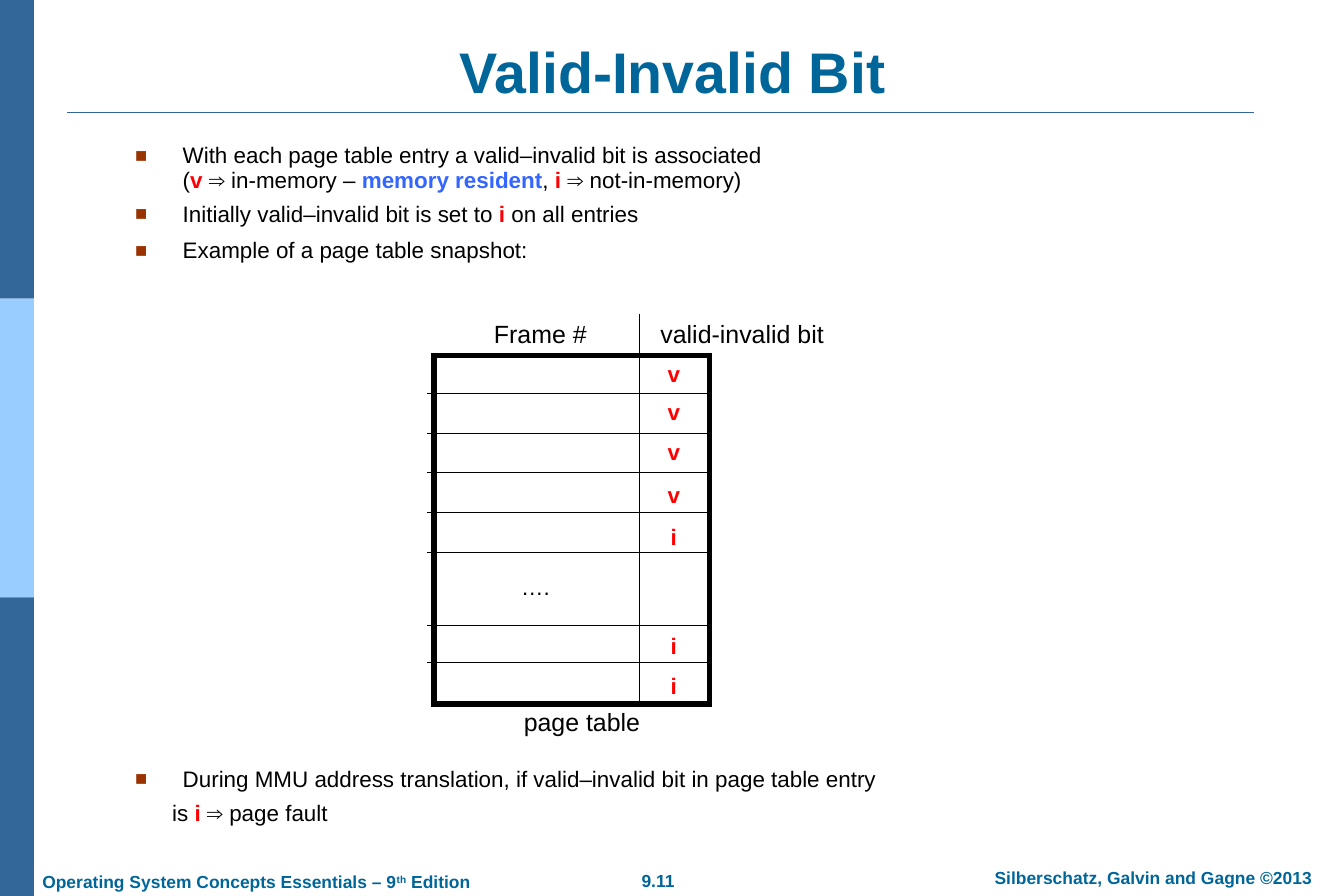
from lxml import etree
from pptx import Presentation
from pptx.dml.color import RGBColor
from pptx.enum.shapes import MSO_CONNECTOR, MSO_SHAPE
from pptx.enum.text import MSO_ANCHOR, PP_ALIGN
from pptx.oxml.ns import qn
from pptx.util import Cm, Pt

STRAIGHT = MSO_CONNECTOR.STRAIGHT
RECTANGLE = MSO_SHAPE.RECTANGLE
TOP, MIDDLE, BOTTOM = MSO_ANCHOR.TOP, MSO_ANCHOR.MIDDLE, MSO_ANCHOR.BOTTOM
LEFT, CENTER = PP_ALIGN.LEFT, PP_ALIGN.CENTER

FONT = "Arial"
BLACK, WHITE, RED = "000000", "FFFFFF", "FF0000"
TEAL, NAVY, SKY = "006699", "336699", "99CCFF"
TERM_BLUE, BULLET_BROWN = "3366FF", "993300"
WIDTH, HEIGHT = 38.1, 25.4
TEXT_INDENT = 1.35

TOP_BULLETS = [
    (7.9, [("With each page table entry a valid–invalid bit is associated", BLACK),
           ("\n", BLACK), ("(", BLACK), ("v ", RED), ("⇒ in-memory – ", BLACK),
           ("memory resident", TERM_BLUE), (", ", BLACK), ("i ", RED),
           ("⇒ not-in-memory)", BLACK)]),
    (7.9, [("Initially valid–invalid bit is set to", BLACK), (" i ", RED),
           ("on all entries", BLACK)]),
    (10, [("Example of a page table snapshot:", BLACK)]),
]
FAULT_BULLET = [
    (7.9, [("During MMU address translation, if valid–invalid bit in page table entry", BLACK)]),
]
FAULT_RESULT = [("is", BLACK), (" i ", RED), ("⇒ page fault", BLACK)]

# Distances in cm below the top of the page table
ROW_LINES = [1.07 + 1.125 * row for row in range(5)] + [7.65, 8.69]
BITS = [("v", 0.51), ("v", 1.6), ("v", 2.72), ("v", 3.94),
        ("i", 5.13), ("i", 8.23), ("i", 9.35)]


def color(value):
    return RGBColor.from_string(value)


def add_rectangle(slide, left, top, width, height, fill, line=None, line_width=0):
    shape = slide.shapes.add_shape(RECTANGLE, Cm(left), Cm(top), Cm(width), Cm(height))
    shape.shadow.inherit = False
    shape.fill.solid()
    shape.fill.fore_color.rgb = color(fill)
    if line:
        shape.line.color.rgb = color(line)
        shape.line.width = Pt(line_width)
        etree.SubElement(shape._element.spPr.find(qn("a:ln")), qn("a:miter"), lim="800000")
    else:
        shape.line.fill.background()


def add_line(slide, x1, y1, x2, y2, line, width):
    connector = slide.shapes.add_connector(STRAIGHT, Cm(x1), Cm(y1), Cm(x2), Cm(y2))
    connector.line.color.rgb = color(line)
    connector.line.width = Pt(width)
    etree.SubElement(connector._element.spPr, qn("a:effectLst"))


def format_run(run, size, value, bold):
    run.font.name = FONT
    run.font.size = Pt(size)
    run.font.bold = bold
    run.font.color.rgb = color(value)


def add_text_frame(slide, left, top, width, height, anchor=TOP, wrap=True):
    box = slide.shapes.add_textbox(Cm(left), Cm(top), Cm(width), Cm(height))
    frame = box.text_frame
    frame.word_wrap = wrap
    frame.vertical_anchor = anchor
    frame.margin_left = frame.margin_right = Cm(0.36)
    frame.margin_top = frame.margin_bottom = Cm(0.18)
    return frame


def add_label(slide, box, text, size, value, bold=False, align=CENTER, anchor=MIDDLE, wrap=False):
    frame = add_text_frame(slide, *box, anchor, wrap)
    frame.text = text
    paragraph = frame.paragraphs[0]
    paragraph.alignment = align
    format_run(paragraph.runs[0], size, value, bold)
    return paragraph


def add_master_parts(slide):
    """Side bands and the rule under the title."""
    band = HEIGHT / 3
    for index, fill in enumerate([NAVY, SKY, NAVY]):
        add_rectangle(slide, 0, index * band, 0.96, band, fill)
    add_line(slide, 1.9, 3.19, 35.56, 3.19, NAVY, 1.5)


def add_footer(slide):
    add_label(slide, (16.89, 24.49, 3.53, 0.9), "9.11", 14, TEAL, True, anchor=TOP)
    add_label(slide, (27.3, 24.41, 10.8, 0.97), "Silberschatz, Galvin and Gagne ©2013",
              14, TEAL, True, anchor=TOP, wrap=True)
    edition = add_label(slide, (0.84, 24.51, 15, 0.89), "Operating System Concepts Essentials – 9",
                        14, TEAL, True, LEFT, TOP, True)
    for text, baseline in [("th", "30000"), (" Edition", "0")]:
        run = edition.add_run()
        run.text = text
        format_run(run, 14, TEAL, True)
        run._r.get_or_add_rPr().set("baseline", baseline)


def fill_paragraph(paragraph, runs, space_before):
    paragraph.alignment = LEFT
    paragraph.line_spacing = 0.9
    paragraph.space_before = Pt(space_before)
    for text, value in runs:
        if text == "\n":
            paragraph.add_line_break()
            continue
        run = paragraph.add_run()
        run.text = text
        format_run(run, 18, value, value != BLACK)


def add_bullet(paragraph):
    properties = paragraph._p.get_or_add_pPr()
    properties.set("marL", str(Cm(TEXT_INDENT)))
    properties.set("indent", str(-Cm(TEXT_INDENT)))
    bullet_color = etree.SubElement(properties, qn("a:buClr"))
    etree.SubElement(bullet_color, qn("a:srgbClr"), val=BULLET_BROWN)
    etree.SubElement(properties, qn("a:buSzPct"), val="90000")
    etree.SubElement(properties, qn("a:buFont"), typeface=FONT)
    etree.SubElement(properties, qn("a:buChar"), char="■")


def add_bullets(slide, left, top, width, height, bullets):
    frame = add_text_frame(slide, left, top, width, height)
    for index, (space_before, runs) in enumerate(bullets):
        paragraph = frame.add_paragraph() if index else frame.paragraphs[0]
        add_bullet(paragraph)
        fill_paragraph(paragraph, runs, space_before if index else 0)
    return frame


def add_fault_note(slide, left, top, width, height):
    frame = add_bullets(slide, left, top, width, height, FAULT_BULLET)
    result = frame.add_paragraph()
    result._p.get_or_add_pPr().set("marL", str(Cm(1.05)))
    fill_paragraph(result, FAULT_RESULT, 7.9)


def add_page_table(slide, left, top, width, height):
    add_rectangle(slide, left, top, width, height, WHITE, BLACK, 4.5)
    for offset in ROW_LINES:
        add_line(slide, left - 0.2, top + offset, left + width - 0.07, top + offset, BLACK, 0.75)
    divider = left + 5.84
    add_line(slide, divider, top - 1.19, divider, top + height - 0.08, BLACK, 0.75)

    def add_centered(text, x, y, label_width, size, value=BLACK, bold=False):
        box = (left + x - label_width / 2, top + y - 0.6, label_width, 1.2)
        add_label(slide, box, text, size, value, bold)

    for bit, offset in BITS:
        add_centered(bit, 6.8, offset, 1.2, 18, RED, True)
    add_centered("….", 2.88, 6.55, 2, 18)
    add_centered("Frame #", 3.02, -0.62, 4.5, 20)
    add_centered("valid-invalid bit", 8.74, -0.62, 6, 20)
    add_centered("page table", 4.2, 10.38, 4.5, 20)


def main():
    presentation = Presentation()
    presentation.slide_width, presentation.slide_height = Cm(WIDTH), Cm(HEIGHT)
    slide = presentation.slides.add_slide(presentation.slide_layouts[6])
    add_master_parts(slide)
    add_footer(slide)
    add_label(slide, (1.92, 1.02, 34.29, 2.13), "Valid-Invalid Bit", 46, TEAL, True,
              anchor=BOTTOM, wrap=True)
    add_bullets(slide, 3.47, 3.92, 32.4, 3.9, TOP_BULLETS)
    add_fault_note(slide, 3.47, 21.59, 32.4, 2.3)
    add_page_table(slide, 12.3, 10.08, 7.82, 9.88)
    presentation.save("out.pptx")


if __name__ == "__main__":
    main()
